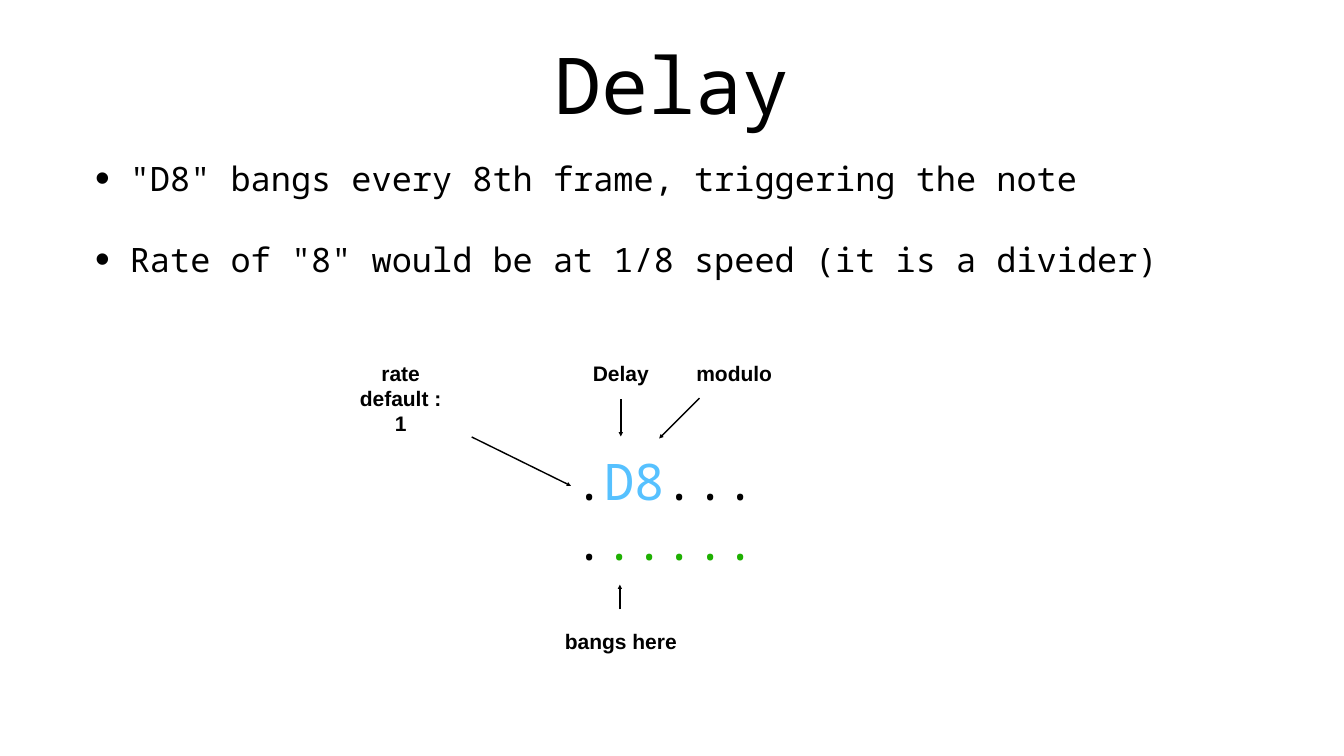
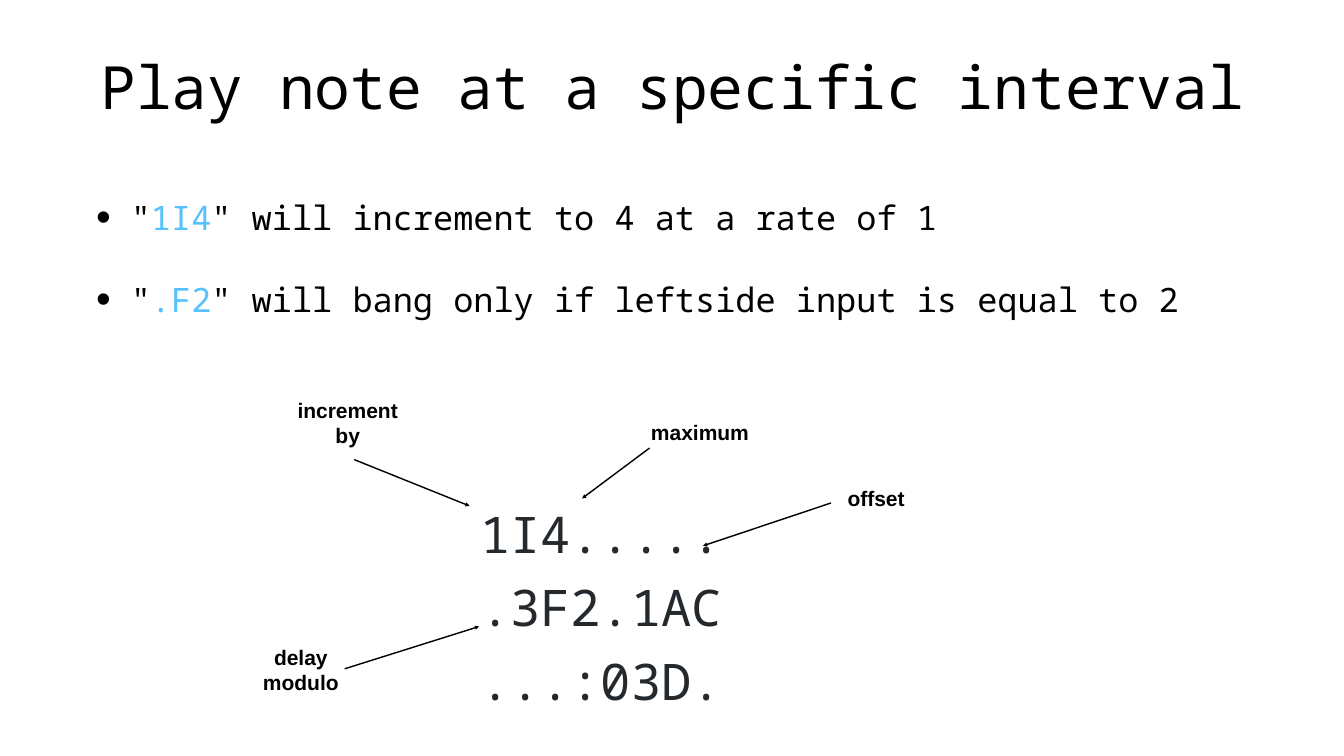
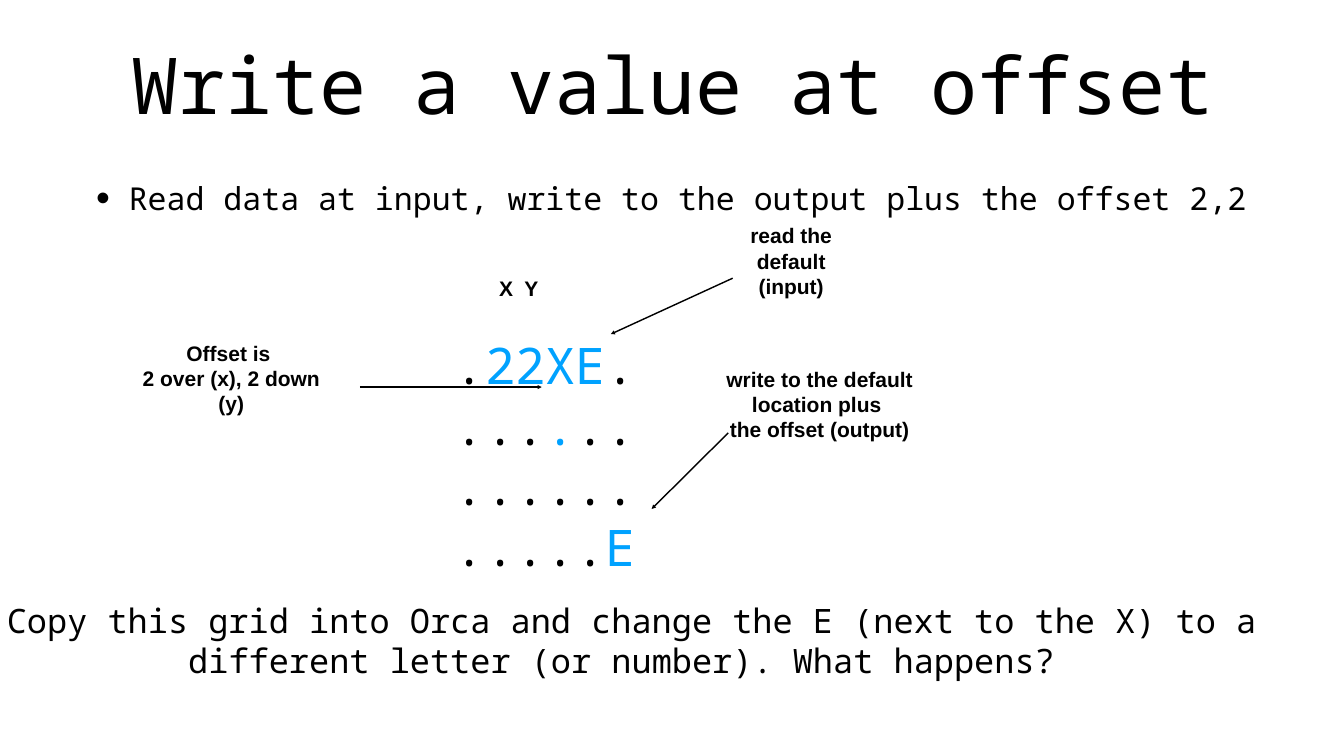
from lxml import etree
from pptx import Presentation
from pptx import util as u
from pptx.dml.color import RGBColor
from pptx.enum import shapes, text
from pptx.oxml.ns import qn

COLORS = {"ink": "000000", "code": "24292E", "sky": "56C1FF", "blue": "00A2FF", "green": "1EB001"}
MONO, SANS = "Noto Sans Mono", "Arial"

# Places are columns and rows of a grid with one-inch cells.
COLUMNS, ROWS = 26.67, 15
LEFT, WIDTH = 1.85, 22.97
TITLE_HEIGHT = 2.5
LABEL_HEIGHT, LABEL_STEP = 0.61, 0.515
LABEL_SLACK = 0.03  # spare room on each side, so that no word breaks
INSET = u.Pt(4)

# A line is a list of pieces: plain text, or (text, colour name).
# labels: (lines, left, top, width); arrows: (start, end).
SLIDES = [
    {
        "title": ("Delay", 112, 0.39),
        "points": {
            "place": (1.83, 3.07, 23.48, 3.84), "size": 48, "indent": 0.69, "gap": 59,
            "lines": [
                ['"D8" bangs every 8th frame, triggering the note'],
                ['Rate of "8" would be at 1/8 speed (it is a divider)'],
            ],
        },
        "code": {
            "place": (11.34, 8.88, 7.73, 2.5), "color": "ink",
            "lines": [[".", ("D8", "sky"), "..."], [".", (".....", "green")]],
        },
        "labels": [
            (["rate", "default : 1"], 7.09, 7.34, 1.72),
            (["modulo"], 13.76, 7.09, 1.62),
            (["Delay"], 11.7, 7.09, 1.24),
            (["bangs here"], 11.15, 12.42, 2.34),
        ],
        "arrows": [
            ((9.36, 8.67), (11.33, 9.64)),
            ((13.88, 7.9), (13.08, 8.7)),
            ((12.32, 7.92), (12.32, 8.66)),
            ((12.3, 12.09), (12.3, 11.6)),
        ],
    },
    {
        "title": ("Play note at a specific interval", 85.1, 0.45),
        "points": {
            "place": (LEFT, 3.85, WIDTH, 3.84), "size": 48, "indent": 0.69, "gap": 59,
            "lines": [
                ['"', ("1I4", "sky"), '" will increment to 4 at a rate of 1'],
                ['"', (".F2", "sky"), '" will bang only if leftside input is equal to 2'],
            ],
        },
        "code": {
            "place": (9.47, 9.46, 5.67, 4.89), "color": "code", "spacing": 105,
            "lines": [["1I4....."], [".3F2.1AC"], ["...:03D."]],
        },
        "labels": [
            (["increment", "by"], 5.84, 7.83, 2.12),
            (["maximum"], 12.85, 8.27, 2.08),
            (["delay", "modulo"], 5.16, 12.73, 1.62),
            (["offset"], 16.76, 9.58, 1.25),
        ],
        "arrows": [
            ((7.03, 9.12), (9.32, 10.04)),
            ((12.89, 8.89), (11.55, 9.89)),
            ((6.84, 13.27), (9.51, 12.43)),
            ((16.49, 9.98), (13.95, 10.83)),
        ],
    },
    {
        "title": ("Write a value at offset", 112, 0.39),
        "points": {
            "place": (LEFT, 3.5, WIDTH, 1.13), "size": 45.1, "indent": 0.65, "gap": 55,
            "lines": [["Read data at input, write to the output plus the offset 2,2"]],
        },
        "code": {
            "place": (8.97, 5.99, 7.73, 6.08), "color": "ink",
            "lines": [
                [".", ("22XE", "blue"), "."],
                ["...", (".", "blue"), ".."],
                ["......"],
                [".....", ("E", "blue")],
            ],
        },
        "labels": [
            (["Offset is ", "2 over (x), 2 down (y)"], 2.78, 6.94, 3.62),
            (["read the ", "default (input)"], 14.83, 4.61, 1.74),
            (["write to the default", "location plus ", "the offset (output)"], 14.33, 7.2, 3.87),
            (["X  Y"], 9.84, 5.42, 0.91),
        ],
        "arrows": [
            ((7.14, 7.68), (10.75, 7.68)),
            ((14.54, 5.52), (12.12, 6.63)),
            ((14.45, 8.59), (12.93, 10.1)),
        ],
        "task": (
            " Copy this grid into Orca and change the E (next to the X) to a different letter "
            "(or number). What happens?",
            (-0.34, 11.84, 25.35, 1.72),
        ),
    },
]


def move(shape, place):
    shape.left, shape.top, shape.width, shape.height = map(u.Inches, place)


def write(shape, lines, font, size, color="ink", bold=False, align=None,
          anchor=text.MSO_ANCHOR.MIDDLE, grow=False):
    """Fill a shape with lines of coloured pieces and return its paragraphs."""
    frame = shape.text_frame
    frame.margin_left = frame.margin_right = INSET
    frame.margin_top = frame.margin_bottom = INSET
    frame.vertical_anchor = anchor
    frame.word_wrap = True
    frame.auto_size = text.MSO_AUTO_SIZE.SHAPE_TO_FIT_TEXT if grow else text.MSO_AUTO_SIZE.NONE
    for number, line in enumerate(lines):
        paragraph = frame.add_paragraph() if number else frame.paragraphs[0]
        paragraph.alignment = align
        for piece in line:
            words, tint = (piece, color) if isinstance(piece, str) else piece
            run = paragraph.add_run()
            run.text = words
            run.font.name, run.font.size, run.font.bold = font, u.Pt(size), bold
            run.font.color.rgb = RGBColor.from_string(COLORS[tint])
    return frame.paragraphs


def add_bullet(paragraph, indent, gap):
    paragraph.space_before = u.Pt(gap)
    props = paragraph._p.get_or_add_pPr()
    props.set("marL", str(u.Inches(indent)))
    props.set("indent", str(-u.Inches(indent)))
    etree.SubElement(props, qn("a:buSzPct")).set("val", "125000")
    etree.SubElement(props, qn("a:buChar")).set("char", "•")


def add_text(slide, place, *args, **style):
    box = slide.shapes.add_textbox(*map(u.Inches, place))
    return write(box, *args, grow=True, **style)


def add_arrow(slide, start, end):
    arrow = slide.shapes.add_connector(
        shapes.MSO_CONNECTOR.STRAIGHT, *map(u.Inches, start + end))
    arrow.line.width = u.Pt(2)
    arrow.line.color.rgb = RGBColor.from_string(COLORS["ink"])
    etree.SubElement(arrow.line._get_or_add_ln(), qn("a:tailEnd")).set("type", "triangle")
    etree.SubElement(arrow._element.spPr, qn("a:effectLst"))


def build_slide(deck, content):
    slide = deck.slides.add_slide(deck.slide_layouts[1])
    center = text.PP_ALIGN.CENTER

    heading, size, top = content["title"]
    move(slide.shapes.title, (LEFT, top, WIDTH, TITLE_HEIGHT))
    write(slide.shapes.title, [[heading]], MONO, size, align=center)

    points = content["points"]
    body = slide.placeholders[1]
    move(body, points["place"])
    for point in write(body, points["lines"], MONO, points["size"], anchor=text.MSO_ANCHOR.TOP):
        add_bullet(point, points["indent"], points["gap"])

    code = content["code"]
    for row in add_text(slide, code["place"], code["lines"], MONO, 72, code["color"]):
        if "spacing" in code:
            row.line_spacing = u.Pt(code["spacing"])

    for start, end in content["arrows"]:
        add_arrow(slide, start, end)
    for lines, left, top, width in content["labels"]:
        height = LABEL_HEIGHT + LABEL_STEP * (len(lines) - 1)
        place = (left - LABEL_SLACK, top, width + 2 * LABEL_SLACK, height)
        add_text(slide, place, [[line] for line in lines], SANS, 30, bold=True, align=center)

    if "task" in content:
        task, place = content["task"]
        add_text(slide, place, [[task]], MONO, 48, align=center)


def main():
    deck = Presentation()
    deck.slide_width, deck.slide_height = u.Inches(COLUMNS), u.Inches(ROWS)
    for content in SLIDES:
        build_slide(deck, content)
    deck.save("out.pptx")


if __name__ == "__main__":
    main()
